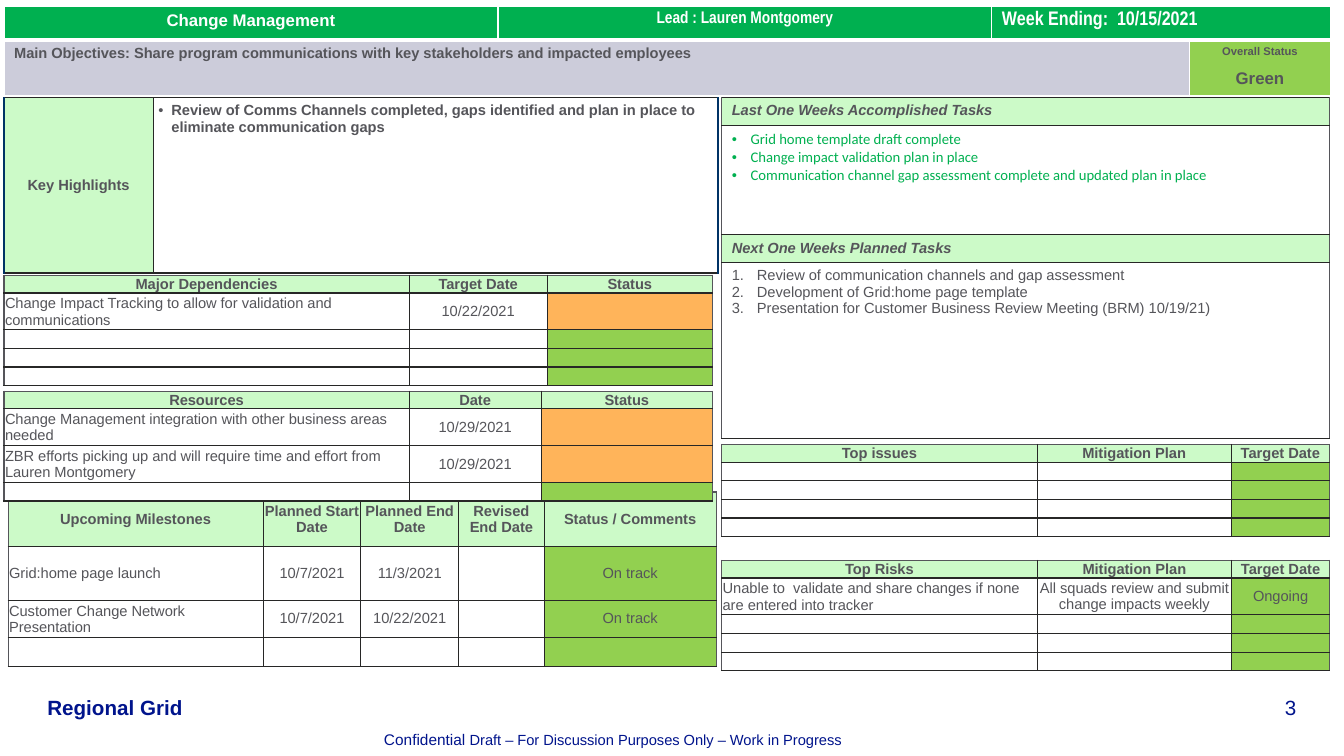
from lxml.etree import SubElement
from pptx import Presentation
from pptx.dml.color import RGBColor
from pptx.enum.text import MSO_ANCHOR as ANCHOR, PP_ALIGN as ALIGN
from pptx.oxml.ns import qn
from pptx.util import Pt

rgb = RGBColor.from_string
GREY, DARK, NAVY, BLUE = "55555A", "272726", "003366", "00148C"
WHITE, PALE, LILAC = "FFFFFF", "9AF793", "CCCCDA"
EMERALD, GREEN, AMBER = "00B050", "92D050", "FFB45A"


def write(tf, text, size=10.5, font="Arial", color=GREY, bold=False, italic=False,
          align=ALIGN.LEFT, bullet=None, indent=0, before=0, after=0):
    """Add one paragraph to a text frame."""
    p = tf.add_paragraph() if tf.text else tf.paragraphs[0]
    p.alignment = align
    p.space_before, p.space_after = Pt(before), Pt(after)
    if bullet:
        pPr = p._p.get_or_add_pPr()
        pPr.set("marL", str(Pt(indent)))
        pPr.set("indent", str(-Pt(indent)))
        if bullet == "1.":
            SubElement(pPr, qn("a:buAutoNum"), type="arabicPeriod")
        else:
            SubElement(pPr, qn("a:buFont"), typeface="Arial")
            SubElement(pPr, qn("a:buChar"), char=bullet)
    if not text:
        # keep empty rows low
        SubElement(p._p, qn("a:endParaRPr"), sz=str(int(size * 100)))
        return
    r = p.add_run()
    r.text = text
    r.font.size, r.font.name, r.font.color.rgb = Pt(size), font, rgb(color)
    r.font.bold, r.font.italic = bold, italic


def style_cell(cell, fill, borders, alpha=100, inset=(0, 0, 0, 0), anchor=ANCHOR.TOP):
    """Set borders (left, right, top, bottom as colour and width), fill and margins."""
    tcPr = cell._tc.get_or_add_tcPr()
    for side, (color, width) in zip("LRTB", borders):
        ln = SubElement(tcPr, qn(f"a:ln{side}"), w=str(Pt(width)))
        SubElement(SubElement(ln, qn("a:solidFill")), qn("a:srgbClr"), val=color)
    cell.fill.solid()
    cell.fill.fore_color.rgb = rgb(fill)
    if alpha < 100:
        clr = tcPr.find(qn("a:solidFill")).find(qn("a:srgbClr"))
        SubElement(clr, qn("a:alpha"), val=str(alpha * 1000))
    cell.margin_left, cell.margin_top, cell.margin_right, cell.margin_bottom = map(Pt, inset)
    cell.vertical_anchor = anchor


prs = Presentation()
prs.slide_width, prs.slide_height = Pt(960), Pt(540)
slide = prs.slides.add_slide(prs.slide_layouts[6])

# Footer: left, top, width, height, alignment, runs of text and format
footer = [
    (869.8, 496, 56.2, 18, ALIGN.RIGHT, "3", dict(size=14.7)),
    (33.8, 496, 130, 18, ALIGN.LEFT, "Regional Grid", dict(size=14.7, bold=True)),
    (274.3, 521.3, 525.6, 13.7, ALIGN.LEFT, "Confidential", dict(size=11)),
]
for x, y, w, h, align, text, fmt in footer:
    tf = slide.shapes.add_textbox(Pt(x), Pt(y), Pt(w), Pt(h)).text_frame
    tf.margin_left = tf.margin_top = tf.margin_right = tf.margin_bottom = 0
    tf.word_wrap, tf.vertical_anchor = True, ANCHOR.BOTTOM
    write(tf, text, align=align, color=BLUE, **fmt)
r = tf.paragraphs[0].add_run()
r.text = " Draft – For Discussion Purposes Only – Work in Progress"
r.font.size, r.font.name, r.font.color.rgb = Pt(10.5), "Arial", rgb(BLUE)

# Panels: place, columns, rows, and per cell the fill, paragraphs and text format
centred = dict(align=ALIGN.CENTER, bold=True)
section = dict(bold=True, italic=True)
title = dict(bold=True, color=WHITE)
narrow = dict(title, font="Arial Narrow")
dots = dict(bullet="•", indent=13.5, font="Calibri", color=EMERALD)
numbers = dict(bullet="1.", indent=18)
key_panel = (2.9, 69.8, [106.6, 403.2], [125.2], [[
    (PALE, [("Key Highlights", centred)]),
    (WHITE, [("Review of Comms Channels completed, gaps identified and plan in place to "
              "eliminate communication gaps", dict(bullet="•", indent=9.4, bold=True))])]])
task_panel = (515.5, 69.8, [434.2], [19.6, 78.2, 19.6, 125.8], [
    [(PALE, [("Last One Weeks Accomplished Tasks", section)])],
    [(WHITE, [(t, dots) for t in (
        "Grid home template draft complete",
        "Change impact validation plan in place",
        "Communication channel gap assessment complete and updated plan in place")])],
    [(PALE, [("Next One Weeks Planned Tasks", section)])],
    [(WHITE, [(t, numbers) for t in (
        "Review of communication channels and gap assessment",
        "Development of Grid:home page template",
        "Presentation for Customer Business Review Meeting (BRM) 10/19/21)")])]])
banner = (2.9, 4.6, [352.8, 352.8, 141.1, 100.8], [23.6, 39.8], [
    [(EMERALD, [("Change Management", dict(title, size=12, align=ALIGN.CENTER))]),
     (EMERALD, [("Lead : Lauren Montgomery", dict(narrow, size=12, align=ALIGN.CENTER))]),
     (EMERALD, [("Week Ending:  10/15/2021", dict(narrow, size=14))]),
     (EMERALD, [])],
    [(LILAC, [("Main Objectives: Share program communications with key stakeholders "
               "and impacted employees", dict(bold=True))]),
     (LILAC, []), (LILAC, []),
     (GREEN, [("Overall Status", dict(centred, size=8)),
              ("Green", dict(centred, size=12, before=8))])]])

for panel in (key_panel, task_panel, banner):
    x, y, cols, rows, cells = panel
    table = slide.shapes.add_table(len(rows), len(cols), Pt(x), Pt(y),
                                   Pt(sum(cols)), Pt(sum(rows))).table
    table.first_row = table.horz_banding = False
    for col, w in zip(table.columns, cols):
        col.width = Pt(w)
    for row, h in zip(table.rows, rows):
        row.height = Pt(h)
    if panel is banner:
        table.cell(0, 2).merge(table.cell(0, 3))
        table.cell(1, 0).merge(table.cell(1, 2))
    for i, line in enumerate(cells):
        for j, (fill, paras) in enumerate(line):
            cell = table.cell(i, j)
            if panel is banner:
                borders = [(WHITE, 1), (WHITE, 1), (WHITE, 1 if i == 0 else 3),
                           (WHITE, 3 if i == 0 else 1)]
            else:
                edge = (NAVY, 1.5) if panel is key_panel else (GREY, 1)
                borders = [edge if j == 0 else (DARK, 1),
                           edge if j == len(cols) - 1 else (DARK, 1), (DARK, 1), (DARK, 1)]
            side = 3.6 if panel is key_panel else 7.2
            middle = panel is key_panel and j == 0
            style_cell(cell, fill, borders, alpha=50 if fill == PALE else 100,
                       inset=(side, 3.6, side, 3.6),
                       anchor=ANCHOR.MIDDLE if middle else ANCHOR.TOP)
            for text, fmt in paras:
                write(cell.text_frame, text, **fmt)

# Trackers: place, columns, row heights, headings, rows of texts ending in a status colour
LOW, TALL, HEAD = 13.2, 26.3, 12.4
blank = ("", "", "", GREEN)
trackers = [
    (5.8, 351.4, [182.2, 69.8, 69.8, 61.2, 122.8], [38.7, 38.7, 26.3, 20.8],
     ["Upcoming Milestones", "Planned Start Date", "Planned End Date", "Revised End Date",
      "Status / Comments"],
     [("Grid:home page launch", "10/7/2021", "11/3/2021", "", "On track", GREEN),
      ("Customer Change Network Presentation", "10/7/2021", "10/22/2021", "", "On track", GREEN),
      ("", "", "", "", "", GREEN)]),
    (2.9, 196.6, [289.4, 98.6, 118.1], [HEAD, TALL, LOW, LOW, LOW],
     ["Major Dependencies", "Target Date", "Status"],
     [("Change Impact Tracking to allow for validation and communications",
       "10/22/2021", "", AMBER), blank, blank, blank]),
    (2.9, 279.4, [289.4, 94.3, 122.4], [HEAD, TALL, TALL, LOW],
     ["Resources", "Date", "Status"],
     [("Change Management integration with other business areas needed",
       "10/29/2021", "", AMBER),
      ("ZBR efforts picking up and will require time and effort from Lauren Montgomery",
       "10/29/2021", "", AMBER), blank]),
    (515.5, 317.5, [225.4, 138.6, 70.2], [HEAD, LOW, LOW, LOW, LOW],
     ["Top issues", "Mitigation Plan", "Target Date"], [blank] * 4),
    (515.5, 400.3, [225.4, 138.9, 69.9], [HEAD, TALL, LOW, LOW, LOW],
     ["Top Risks", "Mitigation Plan", "Target Date"],
     [("Unable to  validate and share changes if none are entered into tracker",
       "All squads review and submit change impacts weekly", "Ongoing", GREEN),
      blank, blank, blank]),
]
for x, y, cols, rows, heads, body in trackers:
    table = slide.shapes.add_table(len(rows), len(cols), Pt(x), Pt(y),
                                   Pt(sum(cols)), Pt(sum(rows))).table
    table.first_row = table.horz_banding = False
    for col, w in zip(table.columns, cols):
        col.width = Pt(w)
    for row, h in zip(table.rows, rows):
        row.height = Pt(h)
    last = len(cols) - 1
    for i, (*texts, status) in enumerate([(*heads, PALE), *body]):
        for j, text in enumerate(texts):
            cell = table.cell(i, j)
            fill = PALE if i == 0 else status if j == last else WHITE
            outer = (j == 0, j == last, i == 0, False)
            style_cell(cell, fill, [(GREY if o else DARK, 1) for o in outer],
                       alpha=50 if i == 0 else 100, anchor=ANCHOR.MIDDLE,
                       inset=(0.7, 0.7, 0.7, 0) if i and j == 0 else (0, 0, 0, 0))
            write(cell.text_frame, text, bold=i == 0,
                  align=ALIGN.LEFT if i and j == 0 else ALIGN.CENTER)

prs.save("out.pptx")
